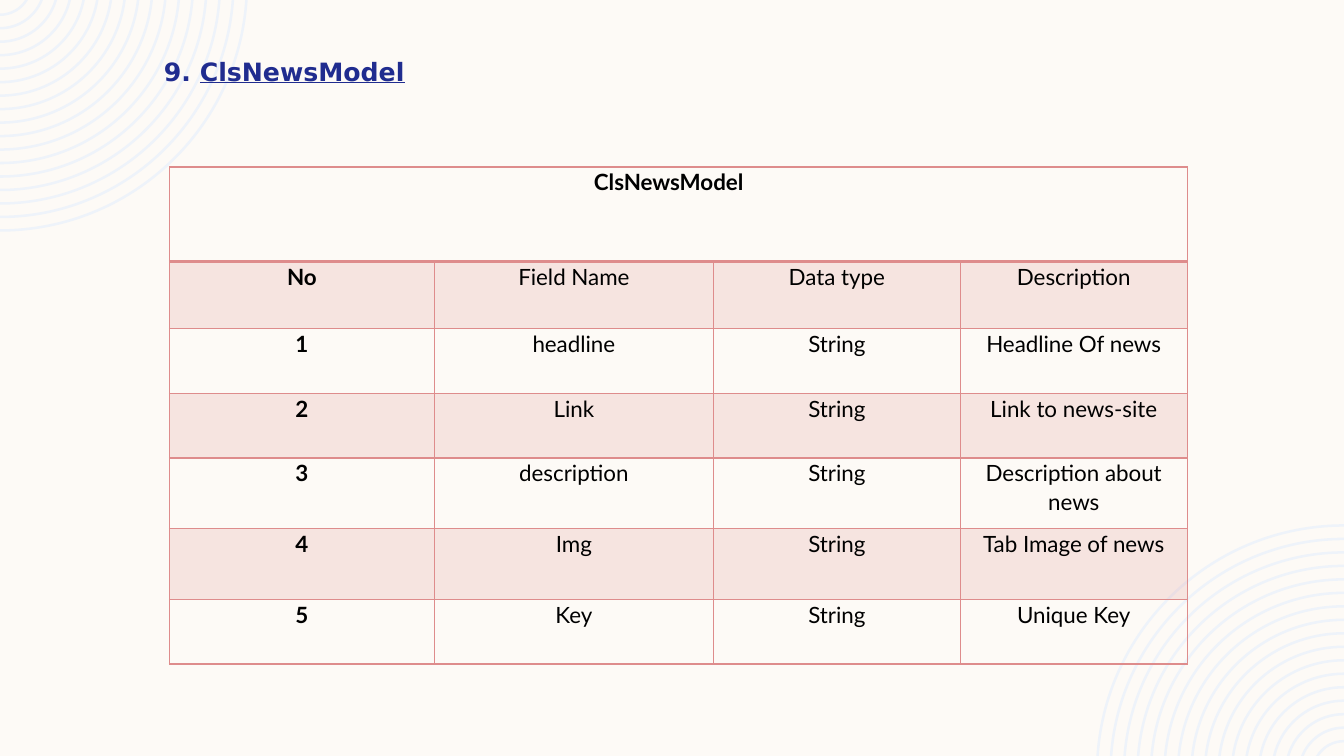
from math import asin, cos, pi, sin, tan
from lxml.etree import SubElement
from pptx import Presentation
from pptx.dml.color import RGBColor
from pptx.enum.text import PP_ALIGN as AL
from pptx.oxml import parse_xml
from pptx.oxml.ns import nsdecls, qn
from pptx.util import Pt

TITLE = [("9. ", False), ("ClsNewsModel", True)]
TABLE_NAME = "ClsNewsModel"
ROWS = [
    ("No", "Field Name", "Data type", "Description"),
    ("1", "headline", "String", "Headline Of news"),
    ("2", "Link", "String", "Link to news-site"),
    ("3", "description", "String", "Description about news"),
    ("4", "Img", "String", "Tab Image of news"),
    ("5", "Key", "String", "Unique Key"),
]
COL_WIDTHS = [189.3, 199.3, 176.4, 162]
ROW_HEIGHTS = [67.5, 48, 46.2, 46.2, 50.5, 50.5, 46.2]

CREAM = RGBColor(0xFD, 0xFA, 0xF6)
PALE_BLUE = RGBColor(0xEE, 0xF3, 0xFA)
NAVY = RGBColor(0x20, 0x2C, 0x8F)
ROSE = RGBColor(0xDE, 0x8C, 0x8C)
BLACK = RGBColor(0, 0, 0)

WIDTH, HEIGHT = 960, 540
RINGS, OUTER_RADIUS, RING_STEP, RING_WIDTH = 17, 177.3, 9.63, 1.8
CENTRE_Y = -11.75


def write(tf, runs, size, font, color, bold=False, align=AL.LEFT):
    p = tf.paragraphs[0]
    p.alignment = align
    p.line_spacing = 1.07
    p.space_after = Pt(8)
    for text, underline in runs:
        r = p.add_run()
        r.text = text
        r.font.size = Pt(size)
        r.font.name = font
        r.font.bold = bold
        r.font.underline = underline
        r.font.color.rgb = color


def arc(radius):
    start = asin(-CENTRE_Y / radius)
    x, y = radius * cos(start), radius * sin(start)
    reach = 4 / 3 * tan((pi / 2 - start) / 4)
    points = [(x, y), (x - reach * y, y + reach * x),
              (reach * radius, radius), (0, radius)]
    return [(px, CENTRE_Y + py) for px, py in points]


def bend(line, points, left, top):
    curve = line.getparent().makeelement(qn("a:cubicBezTo"))
    for x, y in points:
        SubElement(curve, qn("a:pt"), x=str(x - left), y=str(y - top))
    line.getparent().replace(line, curve)


def add_rings(s, opposite):
    def place(x, y):
        return (Pt(WIDTH - x), Pt(HEIGHT - y)) if opposite else (Pt(x), Pt(y))

    builder = None
    curves = []
    for i in range(RINGS):
        radius = OUTER_RADIUS - i * RING_STEP
        outer = [place(*xy) for xy in arc(radius)]
        inner = [place(*xy) for xy in arc(radius - RING_WIDTH)[::-1]]
        if builder is None:
            builder = s.shapes.build_freeform(*outer[0])
        else:
            builder.move_to(*outer[0])
        builder.add_line_segments([outer[-1], inner[0], inner[-1]], close=True)
        curves += [outer[1:], None, inner[1:]]
    sp = builder.convert_to_shape()
    for line, points in zip(list(sp._element.iter(qn("a:lnTo"))), curves):
        if points:
            bend(line, points, sp.left, sp.top)
    sp.shadow.inherit = False
    sp.fill.solid()
    sp.fill.fore_color.rgb = PALE_BLUE
    sp.line.fill.background()


def format_cell(cell, shaded, bottom=1, right_margin=5.4):
    cell.margin_left, cell.margin_right = Pt(5.4), Pt(right_margin)
    cell.margin_top = cell.margin_bottom = 0
    tc_pr = cell._tc.get_or_add_tcPr()
    if shaded:
        cell.fill.solid()
        cell.fill.fore_color.rgb = ROSE
        clr = tc_pr.find(qn("a:solidFill")).find(qn("a:srgbClr"))
        SubElement(clr, qn("a:alpha"), val="20000")
    else:
        cell.fill.background()
    for i, (side, width) in enumerate([("L", 1), ("R", 1), ("T", 1), ("B", bottom)]):
        tc_pr.insert(i, parse_xml(
            f'<a:ln{side} {nsdecls("a")} w="{Pt(width)}"><a:solidFill>'
            f'<a:srgbClr val="{ROSE}"/></a:solidFill></a:ln{side}>'))


def add_table(s):
    frame = s.shapes.add_table(len(ROW_HEIGHTS), len(COL_WIDTHS), Pt(121), Pt(119.3),
                               Pt(sum(COL_WIDTHS)), Pt(sum(ROW_HEIGHTS)))
    table = frame.table
    table.first_row = table.horz_banding = False
    for col, width in zip(table.columns, COL_WIDTHS):
        col.width = Pt(width)
    for row, height in zip(table.rows, ROW_HEIGHTS):
        row.height = Pt(height)

    for c in range(len(COL_WIDTHS)):
        format_cell(table.cell(0, c), False, bottom=2, right_margin=19)
    name = table.cell(0, 0)
    name.merge(table.cell(0, len(COL_WIDTHS) - 1))
    write(name.text_frame, [(TABLE_NAME, False)], 16, "Lato", BLACK,
          bold=True, align=AL.CENTER)

    for r, values in enumerate(ROWS, 1):
        for c, value in enumerate(values):
            cell = table.cell(r, c)
            format_cell(cell, shaded=r % 2 == 1)
            write(cell.text_frame, [(value, False)], 16, "Lato", BLACK,
                  bold=c == 0, align=AL.CENTER)


def main():
    prs = Presentation()
    prs.slide_width, prs.slide_height = Pt(WIDTH), Pt(HEIGHT)
    s = prs.slides.add_slide(prs.slide_layouts[6])
    s.background.fill.solid()
    s.background.fill.fore_color.rgb = CREAM
    for opposite in (False, True):
        add_rings(s, opposite)
    box = s.shapes.add_textbox(Pt(110), Pt(35.3), Pt(480), Pt(29.5))
    box.text_frame.word_wrap = True
    write(box.text_frame, TITLE, 18, "DejaVu Sans", NAVY, bold=True)
    add_table(s)
    prs.save("out.pptx")


if __name__ == "__main__":
    main()
